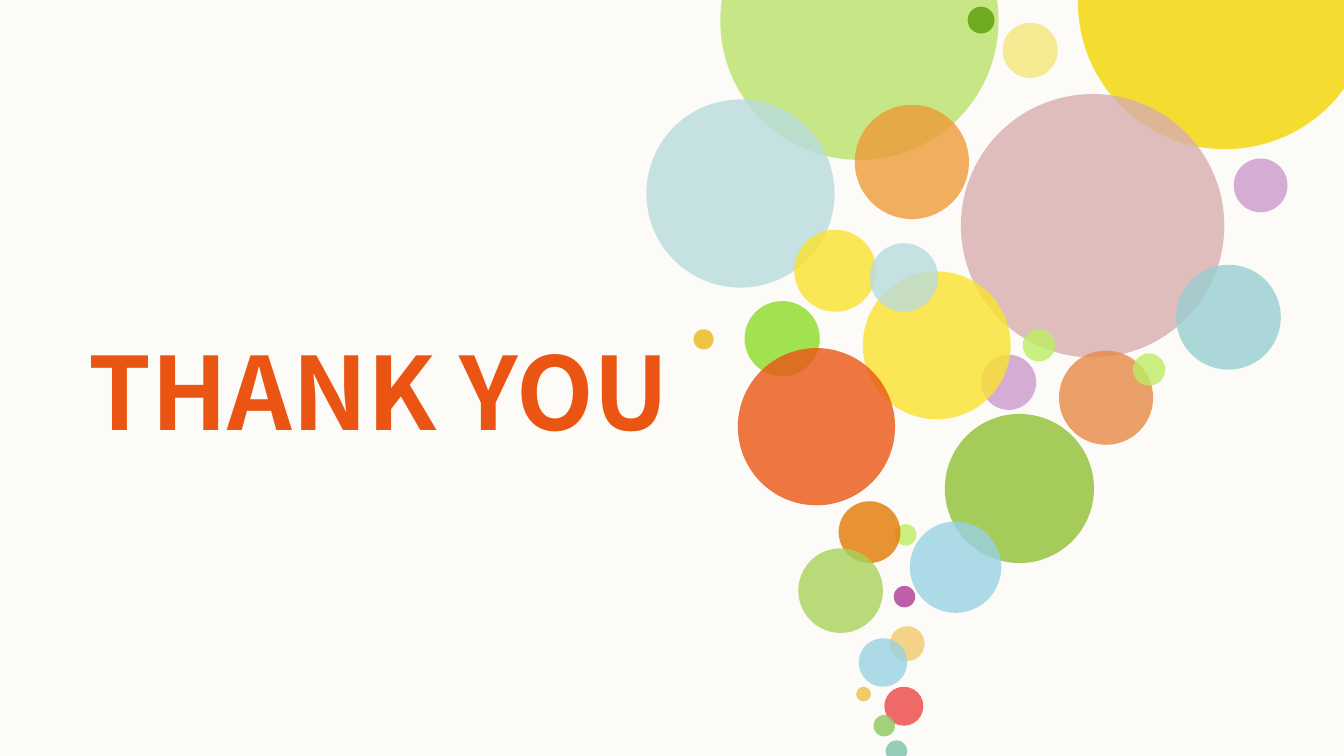
from lxml import etree
from pptx import Presentation
from pptx.dml.color import RGBColor
from pptx.enum.shapes import MSO_SHAPE
from pptx.enum.text import MSO_ANCHOR, MSO_AUTO_SIZE, PP_ALIGN
from pptx.oxml.ns import qn
from pptx.util import Inches, Pt

OVAL = MSO_SHAPE.OVAL
MIDDLE = MSO_ANCHOR.MIDDLE
NO_FIT = MSO_AUTO_SIZE.NONE
RIGHT = PP_ALIGN.RIGHT

THEME = {
    "font": "Noto Sans CJK SC",
    "size": 54,
    "paper": "FCFBF7",
    "flame": "EA5514",
    "lime": "BAE36B",
    "moss": "6EAB1F",
    "mist": "B9DBDD",
    "peach": "ED9B38",
    "cream": "F5EA91",
    "gold": "F4D500",
    "rose": "D8AEAF",
    "teal": "99CED2",
    "lilac": "CB99CC",
    "copper": "E78A47",
    "leaf": "A5CB5A",
    "sprout": "BCED61",
    "lemon": "FBE22D",
    "grass": "8CDB27",
    "amber": "E9B915",
    "plum": "B03896",
    "sand": "F0CA6C",
    "jade": "7BBFAA",
    "coral": "EB4544",
    "fern": "8DC65B",
    "sky": "98D2E3",
    "orange": "E27902",
    "pear": "A9D25A",
}

CLEAR, SOLID = 80, 100
BUBBLES = [
    (5.36, -0.88, 2.07, "lime", CLEAR),
    (7.2, 0.05, 0.2, "moss", SOLID),
    (4.81, 0.74, 1.4, "mist", CLEAR),
    (6.36, 0.78, 0.85, "peach", CLEAR),
    (7.46, 0.17, 0.41, "cream", SOLID),
    (8.02, -1.08, 2.19, "gold", CLEAR),
    (7.15, 0.7, 1.96, "rose", CLEAR),
    (8.75, 1.97, 0.78, "teal", CLEAR),
    (9.18, 1.18, 0.4, "lilac", CLEAR),
    (7.88, 2.61, 0.7, "copper", CLEAR),
    (7.03, 3.08, 1.11, "leaf", SOLID),
    (8.43, 2.63, 0.24, "sprout", CLEAR),
    (7.61, 2.45, 0.24, "sprout", CLEAR),
    (7.3, 2.64, 0.41, "lilac", CLEAR),
    (6.42, 2.02, 1.1, "lemon", CLEAR),
    (5.91, 1.71, 0.61, "lemon", CLEAR),
    (5.54, 2.24, 0.56, "grass", CLEAR),
    (5.16, 2.45, 0.15, "amber", CLEAR),
    (6.66, 3.9, 0.16, "sprout", CLEAR),
    (6.65, 4.36, 0.16, "plum", CLEAR),
    (6.62, 4.66, 0.26, "sand", CLEAR),
    (6.37, 5.11, 0.11, "sand", SOLID),
    (6.59, 5.51, 0.16, "jade", CLEAR),
    (6.58, 5.11, 0.29, "coral", CLEAR),
    (6.5, 5.32, 0.16, "fern", CLEAR),
    (6.39, 4.75, 0.36, "sky", CLEAR),
    (6.47, 1.81, 0.51, "mist", CLEAR),
    (6.77, 3.88, 0.68, "sky", CLEAR),
    (6.24, 3.73, 0.46, "orange", CLEAR),
    (5.94, 4.08, 0.63, "pear", CLEAR),
    (5.49, 2.59, 1.17, "flame", CLEAR),
]


def paint(fill, name, alpha=SOLID):
    fill.solid()
    fill.fore_color.rgb = RGBColor.from_string(THEME[name])
    if alpha < SOLID:
        color = fill._xPr.find(qn("a:solidFill"))[0]
        etree.SubElement(color, qn("a:alpha"), val=str(alpha * 1000))


deck = Presentation()
deck.slide_width = Inches(10)
deck.slide_height = Inches(10) * 9 // 16
slide = deck.slides.add_slide(deck.slide_layouts[5])
paint(slide.background.fill, "paper")

for left, top, size, name, alpha in BUBBLES:
    bubble = slide.shapes.add_shape(
        OVAL, Inches(left), Inches(top), Inches(size), Inches(size)
    )
    bubble.shadow.inherit = False
    bubble.line.fill.background()
    paint(bubble.fill, name, alpha)

title = slide.shapes.title
title.left, title.top = Inches(-0.26), Inches(2.45)
title.width, title.height = Inches(5.24), Inches(0.91)
frame = title.text_frame
frame.margin_left = frame.margin_right = 0
frame.margin_top = frame.margin_bottom = 0
frame.word_wrap = True
frame.auto_size = NO_FIT
frame.vertical_anchor = MIDDLE
line = frame.paragraphs[0]
line.alignment = RIGHT
run = line.add_run()
run.text = "THANK YOU"
run.font.name = THEME["font"]
run.font.size = Pt(THEME["size"])
run.font.bold = True
run.font.color.rgb = RGBColor.from_string(THEME["flame"])

deck.save("out.pptx")
